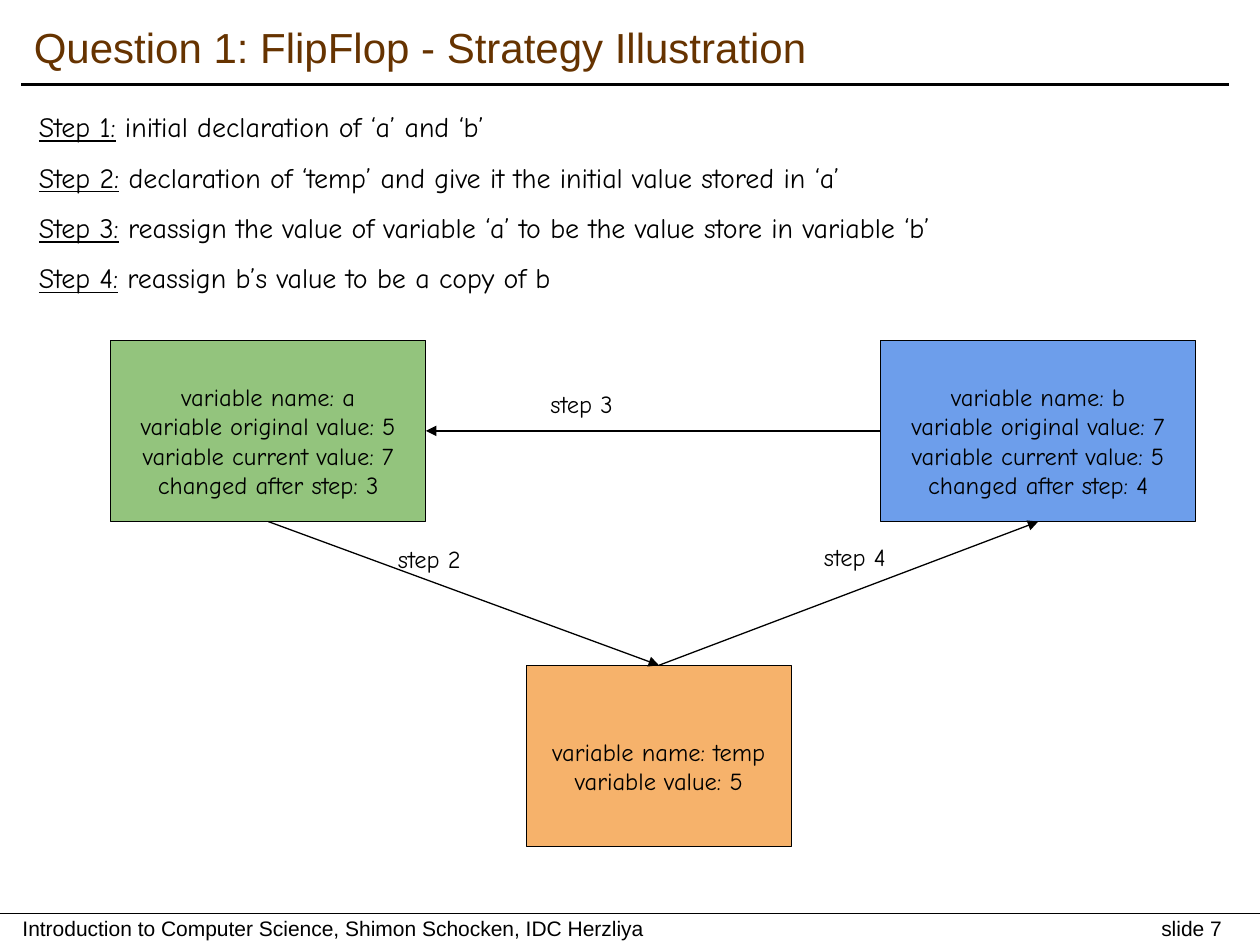
from dataclasses import dataclass

from lxml.etree import SubElement
from pptx import Presentation
from pptx.dml.color import RGBColor
from pptx.enum.shapes import MSO_CONNECTOR, MSO_SHAPE
from pptx.enum.text import MSO_ANCHOR, PP_ALIGN
from pptx.oxml.ns import qn
from pptx.util import Inches, Pt

HAND, SANS = "Comic Neue", "Arial"
BLACK, BROWN = "000000", "663300"
TOP, LEFT, BOTTOM, RIGHT = range(4)


@dataclass
class Variable:
    left: float
    top: float
    width: float
    fill: str
    text_top: float
    lines: list[str]


@dataclass
class Move:
    source: str
    start_side: int
    target: str
    end_side: int
    label: str
    label_left: float
    label_top: float


STEPS = [
    ("Step 1:", " initial declaration of ‘a’ and ‘b’"),
    ("Step 2:", " declaration of ‘temp’ and give it the initial value stored in ‘a’"),
    ("Step 3:", " reassign the value of variable ‘a’ to be the value store in variable ‘b’"),
    ("Step 4:", " reassign b’s value to be a copy of b"),
]

VARIABLES = {
    "a": Variable(0.88, 2.7, 2.5, "93C47D", 0.33, [
        "variable name: a", "variable original value: 5",
        "variable current value: 7", "changed after step: 3"]),
    "b": Variable(6.99, 2.7, 2.5, "6D9EEB", 0.33, [
        "variable name: b", "variable original value: 7",
        "variable current value: 5", "changed after step: 4"]),
    "temp": Variable(4.18, 5.28, 2.1, "F6B26B", 0.57, [
        "variable name: temp", "variable value: 5"]),
}

MOVES = [
    Move("a", BOTTOM, "temp", TOP, "step 2", 3.06, 4.22),
    Move("b", LEFT, "a", RIGHT, "step 3", 4.27, 2.99),
    Move("temp", TOP, "b", BOTTOM, "step 4", 6.44, 4.2),
]


def rgb(value: str) -> RGBColor:
    return RGBColor.from_string(value)


def add_run(p, text: str, size: float, font: str = HAND, color: str = BLACK,
            underline: bool = False) -> None:
    r = p.add_run()
    r.text = text
    r.font.size = Pt(size)
    r.font.name = font
    r.font.color.rgb = rgb(color)
    r.font.underline = underline


def set_frame(tf, anchor=MSO_ANCHOR.TOP, inset_top: float = 0.1,
              inset_bottom: float = 0.1) -> None:
    tf.word_wrap = True
    tf.vertical_anchor = anchor
    tf.margin_left = tf.margin_right = Inches(0.1)
    tf.margin_top, tf.margin_bottom = Inches(inset_top), Inches(inset_bottom)


def add_text_box(s, left: float, top: float, width: float, height: float, **frame):
    sp = s.shapes.add_textbox(Inches(left), Inches(top), Inches(width), Inches(height))
    set_frame(sp.text_frame, **frame)
    return sp.text_frame


def next_paragraph(tf, index: int):
    return tf.add_paragraph() if index else tf.paragraphs[0]


def add_line(s, x1: float, y1: float, x2: float, y2: float, weight: float):
    line = s.shapes.add_connector(MSO_CONNECTOR.STRAIGHT, Inches(x1), Inches(y1),
                                  Inches(x2), Inches(y2))
    line.line.color.rgb = rgb(BLACK)
    line.line.width = Pt(weight)
    SubElement(line._element.spPr, qn("a:effectLst"))
    return line


def add_variable(s, var: Variable):
    sp = s.shapes.add_shape(MSO_SHAPE.RECTANGLE, Inches(var.left), Inches(var.top),
                            Inches(var.width), Inches(1.44))
    sp.shadow.inherit = False
    sp.fill.solid()
    sp.fill.fore_color.rgb = rgb(var.fill)
    sp.line.color.rgb = rgb(BLACK)
    sp.line.width = Pt(0.75)
    set_frame(sp.text_frame, inset_top=var.text_top)
    for i, text in enumerate(var.lines):
        p = next_paragraph(sp.text_frame, i)
        p.alignment = PP_ALIGN.CENTER
        add_run(p, text, 14)
    return sp


def add_move(s, move: Move, boxes: dict) -> None:
    arrow = add_line(s, 0, 0, 1, 1, 0.75)
    arrow.begin_connect(boxes[move.source], move.start_side)
    arrow.end_connect(boxes[move.target], move.end_side)
    SubElement(arrow._element.spPr.find(qn("a:ln")), qn("a:tailEnd"), type="triangle")
    tf = add_text_box(s, move.label_left, move.label_top, 1.91, 0.25)
    add_run(tf.paragraphs[0], move.label, 14)


def add_footer(s) -> None:
    add_line(s, 0, 7.25, 10, 7.25, 1)
    tf = add_text_box(s, 0.08, 7.22, 9.92, 0.3, anchor=MSO_ANCHOR.MIDDLE,
                      inset_top=0.05, inset_bottom=0.05)
    p = tf.paragraphs[0]
    tabs = SubElement(p._p.get_or_add_pPr(), qn("a:tabLst"))
    SubElement(tabs, qn("a:tab"), pos=str(Inches(9.52)), algn="r")
    add_run(p, "Introduction to Computer Science, Shimon Schocken, IDC Herzliya\tslide 7",
            12, SANS)


def main() -> None:
    prs = Presentation()
    prs.slide_width, prs.slide_height = Inches(10), Inches(7.5)
    s = prs.slides.add_slide(prs.slide_layouts[6])

    # Title and footer
    add_line(s, 0.17, 0.67, 9.75, 0.67, 2)
    add_footer(s)
    tf = add_text_box(s, 0.17, 0.08, 9.58, 0.58, anchor=MSO_ANCHOR.MIDDLE,
                      inset_top=0.05, inset_bottom=0.05)
    add_run(tf.paragraphs[0], "Question 1: FlipFlop - Strategy Illustration", 24, SANS, BROWN)

    # List of steps
    tf = add_text_box(s, 0.21, 0.77, 9.49, 1.68)
    for i, (name, description) in enumerate(STEPS):
        p = next_paragraph(tf, i)
        if i:
            p.space_before = Pt(9.6)
        add_run(p, name, 16, underline=True)
        add_run(p, description, 16)

    # Variables and the moves between them
    boxes = {name: add_variable(s, var) for name, var in VARIABLES.items()}
    for move in MOVES:
        add_move(s, move, boxes)

    prs.save("out.pptx")


if __name__ == "__main__":
    main()
